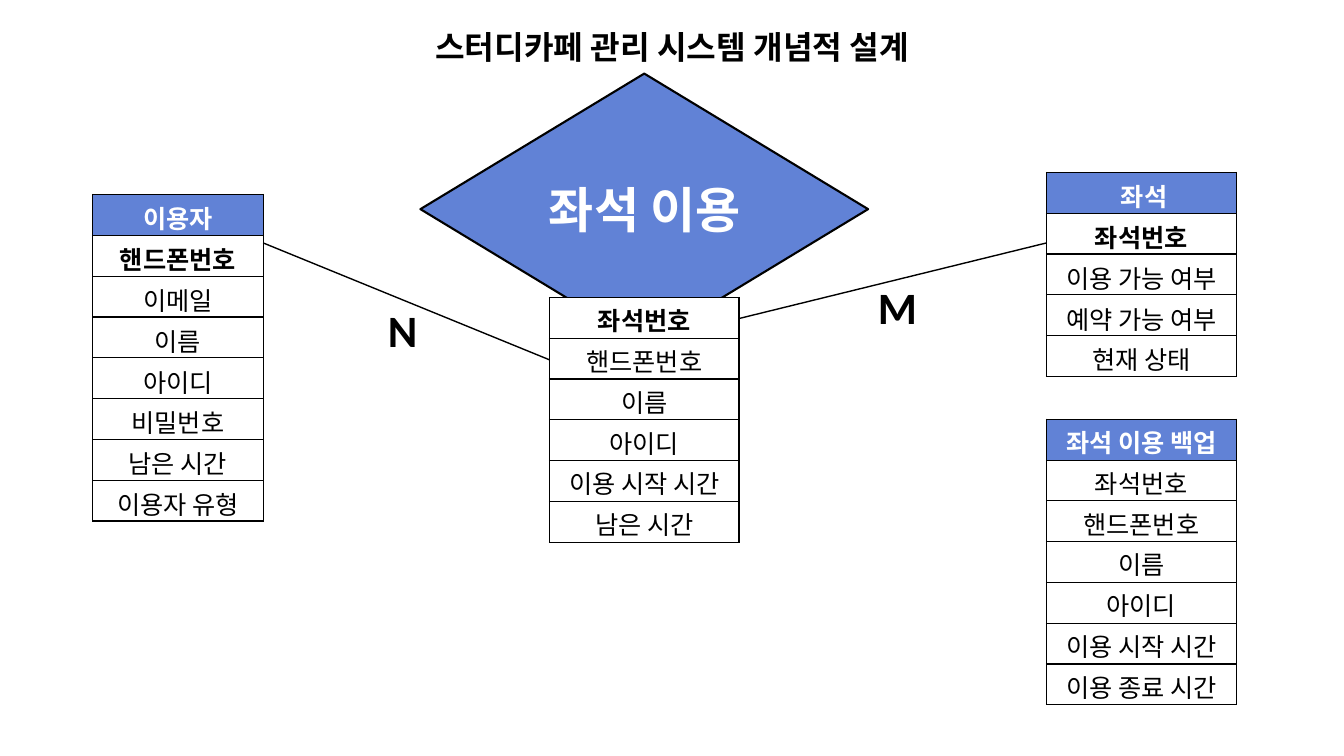
from lxml import etree
from pptx import Presentation
from pptx.dml.color import RGBColor
from pptx.enum.shapes import MSO_CONNECTOR, MSO_SHAPE
from pptx.enum.text import MSO_ANCHOR, PP_ALIGN
from pptx.oxml.ns import qn
from pptx.util import Inches, Pt

BLUE = RGBColor(0x61, 0x82, 0xD6)
WHITE = RGBColor(0xFF, 0xFF, 0xFF)
BLACK = RGBColor(0x00, 0x00, 0x00)
FONT = "Calibri"
ROW_H = 0.405


def set_text(tf, text, size, color=BLACK, bold=True, align=PP_ALIGN.CENTER):
    tf.word_wrap = True
    p = tf.paragraphs[0]
    p.text = text
    p.alignment = align
    p.font.name = FONT
    p.font.size = Pt(size)
    p.font.bold = bold
    p.font.color.rgb = color


def set_borders(cell):
    tcPr = cell._tc.get_or_add_tcPr()
    for i, side in enumerate(("a:lnL", "a:lnR", "a:lnT", "a:lnB")):
        ln = etree.Element(qn(side), w=str(Pt(1)))
        fill = etree.SubElement(ln, qn("a:solidFill"))
        etree.SubElement(fill, qn("a:srgbClr"), val=str(BLACK))
        tcPr.insert(i, ln)


prs = Presentation()
prs.slide_width, prs.slide_height = Inches(13.33), Inches(7.5)
s = prs.slides.add_slide(prs.slide_layouts[5])

# Title
title = s.shapes.title
title.left, title.top = Inches(3.51), Inches(0.22)
title.width, title.height = Inches(6.32), Inches(0.48)
title.text_frame.vertical_anchor = MSO_ANCHOR.MIDDLE
set_text(title.text_frame, "스터디카페 관리 시스템 개념적 설계", 23)

# Relationship diamond
diamond = s.shapes.add_shape(MSO_SHAPE.DIAMOND, Inches(4.17), Inches(0.73),
                             Inches(4.44), Inches(2.69))
diamond.shadow.inherit = False
diamond.fill.solid()
diamond.fill.fore_color.rgb = BLUE
diamond.line.color.rgb = BLACK
diamond.line.width = Pt(1.5)

# Diamond label and cardinalities
labels = [
    ("좌석 이용", 4.92, 1.73, 2.95, 0.68, 35, WHITE, PP_ALIGN.CENTER),
    ("N", 3.75, 2.95, 0.84, 0.62, 32, BLACK, PP_ALIGN.LEFT),
    ("M", 8.61, 2.73, 0.84, 0.62, 32, BLACK, PP_ALIGN.LEFT),
]
for text, x, y, w, h, size, color, align in labels:
    box = s.shapes.add_textbox(Inches(x), Inches(y), Inches(w), Inches(h))
    set_text(box.text_frame, text, size, color, align=align)

# Entity tables: left, top, width, header, key, attributes, tight rows
tables = [
    (10.38, 1.71, 1.88, " 좌석", "좌석번호",
     ["이용 가능 여부", "예약 가능 여부", "현재 상태"], False),
    (0.92, 1.93, 1.69, "이용자", "핸드폰번호",
     ["이메일", "이름", "아이디", "비밀번호", "남은 시간", "이용자 유형"], False),
    (5.45, 2.95, 1.88, None, "좌석번호",
     ["핸드폰번호", "이름", "아이디", "이용 시작 시간", "남은 시간"], True),
    (10.38, 4.16, 1.88, "좌석 이용 백업", None,
     ["좌석번호", "핸드폰번호", "이름", "아이디", "이용 시작 시간", "이용 종료 시간"], True),
]
for x, y, w, header, key, attributes, tight in tables:
    names = [name for name in (header, key) if name] + attributes
    frame = s.shapes.add_table(len(names), 1, Inches(x), Inches(y),
                               Inches(w), Inches(ROW_H * len(names)))
    table = frame.table
    table.first_row = table.horz_banding = False
    for i, name in enumerate(names):
        cell = table.cell(i, 0)
        is_header = i == 0 and header is not None
        is_bold = i < len(names) - len(attributes)
        set_text(cell.text_frame, name, 18, WHITE if is_header else BLACK, is_bold)
        cell.fill.solid()
        cell.fill.fore_color.rgb = BLUE if is_header else WHITE
        if tight:
            cell.margin_top, cell.margin_bottom = Inches(0.04), 0
        set_borders(cell)

# Lines between the entities and the relationship
for x1, y1, x2, y2 in [(2.61, 2.41, 5.45, 3.57), (7.33, 3.16, 10.38, 2.41)]:
    line = s.shapes.add_connector(MSO_CONNECTOR.STRAIGHT, Inches(x1), Inches(y1),
                                  Inches(x2), Inches(y2))
    line.line.color.rgb = BLACK
    line.line.width = Pt(1)
    etree.SubElement(line._element.spPr, qn("a:effectLst"))

prs.save("out.pptx")
